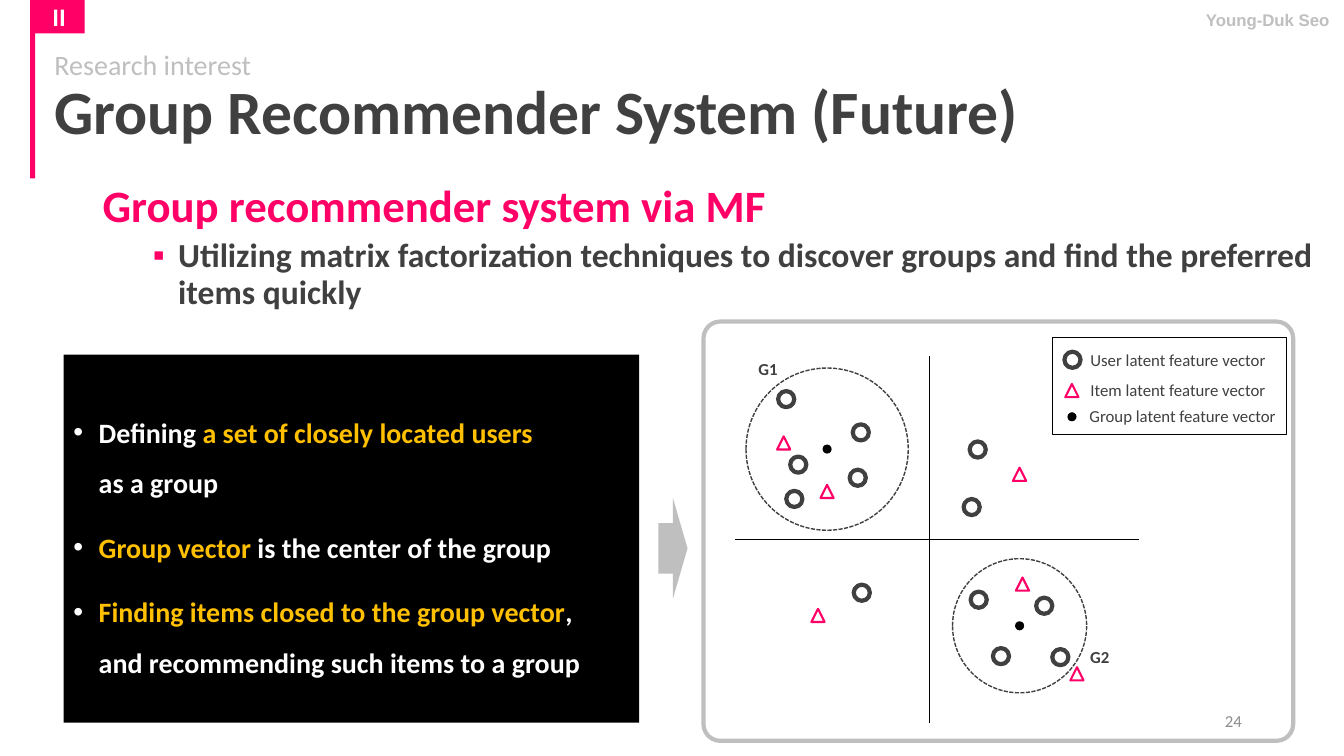
from lxml import etree
from pptx import Presentation
from pptx.dml.color import RGBColor
from pptx.enum.dml import MSO_LINE
from pptx.enum.shapes import MSO_CONNECTOR, MSO_SHAPE
from pptx.enum.text import MSO_ANCHOR, MSO_AUTO_SIZE, PP_ALIGN
from pptx.oxml.ns import qn
from pptx.util import Pt

RECTANGLE = MSO_SHAPE.RECTANGLE
ROUNDED = MSO_SHAPE.ROUNDED_RECTANGLE
OVAL = MSO_SHAPE.OVAL
TRIANGLE = MSO_SHAPE.ISOSCELES_TRIANGLE
ARROW = MSO_SHAPE.RIGHT_ARROW
STRAIGHT = MSO_CONNECTOR.STRAIGHT
DASH = MSO_LINE.SQUARE_DOT
TOP, MIDDLE = MSO_ANCHOR.TOP, MSO_ANCHOR.MIDDLE
LEFT, CENTER, RIGHT = PP_ALIGN.LEFT, PP_ALIGN.CENTER, PP_ALIGN.RIGHT
NO_FIT = MSO_AUTO_SIZE.NONE

PINK = RGBColor(0xFF, 0x00, 0x66)
AMBER = RGBColor(0xFF, 0xC0, 0x00)
DARK = RGBColor(0x40, 0x40, 0x40)
GRAY = RGBColor(0x8C, 0x8C, 0x8C)
SILVER = RGBColor(0xBF, 0xBF, 0xBF)
BLACK = RGBColor(0x00, 0x00, 0x00)
WHITE = RGBColor(0xFF, 0xFF, 0xFF)

USERS = [(570.2, 331.9), (567.4, 356.4), (612.7, 341.3), (614.9, 308.9),
         (561.6, 285.1), (715, 468.7), (699.1, 428.4), (745.9, 432.7),
         (615.6, 423.4), (694.1, 362.2), (698.4, 321.1), (757.4, 469.4)]
ITEMS = [(769.3, 481.3), (730.4, 417.2), (728.3, 338.8),
         (584.3, 439.6), (590.8, 351), (559.8, 316.4)]
GROUPS = [("G1", 590.8, 320.8, 115.9, 533.5, 252.7),
          ("G2", 728.3, 447, 95.8, 770.4, 458.6)]
POINTS = [
    [("Defining ", WHITE), ("a set of closely located users\n", AMBER),
     ("as a group", WHITE)],
    [("Group vector", AMBER), (" is the center of the group", WHITE)],
    [("Finding items closed to the group vector", AMBER),
     (",\nand recommending such items to a group", WHITE)],
]


def write(paragraph, text, size=12, color=DARK, bold=False, font="Calibri"):
    for index, part in enumerate(text.split("\n")):
        if index:
            paragraph.add_line_break()
        if part:
            run = paragraph.add_run()
            run.text = part
            run.font.name = font
            run.font.size = Pt(size)
            run.font.bold = bold
            run.font.color.rgb = color


class SlideBuilder:
    def __init__(self, slide):
        self.slide = slide

    def shape(self, kind, left, top, width, height, fill=None, line=None,
              weight=1, dash=None):
        shape = self.slide.shapes.add_shape(
            kind, Pt(left), Pt(top), Pt(width), Pt(height))
        shape.shadow.inherit = False
        if fill is None:
            shape.fill.background()
        else:
            shape.fill.solid()
            shape.fill.fore_color.rgb = fill
        if line is None:
            shape.line.fill.background()
        else:
            shape.line.color.rgb = line
            shape.line.width = Pt(weight)
            if dash is not None:
                shape.line.dash_style = dash
        return shape

    def centered(self, kind, x, y, size, **style):
        return self.shape(kind, x - size / 2, y - size / 2, size, size, **style)

    def user(self, x, y):
        self.centered(OVAL, x, y, 11.5, fill=WHITE, line=DARK, weight=3)

    def item(self, x, y):
        self.centered(TRIANGLE, x, y, 9.4, fill=WHITE, line=PINK, weight=1.5)

    def center_dot(self, x, y):
        self.centered(OVAL, x, y, 6.5, fill=BLACK)

    def axis(self, x1, y1, x2, y2):
        line = self.slide.shapes.add_connector(
            STRAIGHT, Pt(x1), Pt(y1), Pt(x2), Pt(y2))
        line.line.color.rgb = BLACK
        line.line.width = Pt(1)
        properties = line._element.find(qn("p:spPr"))
        etree.SubElement(properties, qn("a:effectLst"))

    def frame(self, shape, anchor=TOP):
        frame = shape.text_frame
        frame.word_wrap = True
        frame.auto_size = NO_FIT
        frame.vertical_anchor = anchor
        return frame

    def textbox(self, left, top, width, height, anchor=TOP):
        return self.frame(self.slide.shapes.add_textbox(
            Pt(left), Pt(top), Pt(width), Pt(height)), anchor)

    def label(self, text, left, top, width, height=21.6, align=LEFT,
              anchor=TOP, **style):
        paragraph = self.textbox(left, top, width, height, anchor).paragraphs[0]
        paragraph.alignment = align
        write(paragraph, text, **style)

    def title(self, kicker, heading):
        title = self.slide.shapes.title
        title.left, title.top = Pt(31.7), Pt(23.8)
        title.width, title.height = Pt(828), Pt(95)
        paragraph = self.frame(title, MIDDLE).paragraphs[0]
        paragraph.alignment = LEFT
        paragraph.line_spacing = 0.9
        write(paragraph, kicker + "\n", size=20, color=SILVER)
        write(paragraph, heading, size=44, bold=True)

    def bullet(self, paragraph, character, color, margin):
        paragraph.alignment = LEFT
        properties = paragraph._p.get_or_add_pPr()
        properties.set("marL", str(Pt(margin)))
        properties.set("indent", str(Pt(-18)))
        bullet_color = etree.SubElement(properties, qn("a:buClr"))
        etree.SubElement(bullet_color, qn("a:srgbClr"), val=str(color))
        etree.SubElement(properties, qn("a:buFont"), typeface="Arial")
        etree.SubElement(properties, qn("a:buChar"), char=character)


def main():
    presentation = Presentation()
    presentation.slide_width, presentation.slide_height = Pt(960), Pt(540)
    slide = presentation.slides.add_slide(presentation.slide_layouts[5])
    builder = SlideBuilder(slide)

    panel = builder.shape(ROUNDED, 502.5, 229.7, 421.2, 299.5,
                          fill=WHITE, line=SILVER, weight=3)
    panel.adjustments[0] = 0.04
    builder.shape(RECTANGLE, 751.7, 241.2, 167, 69.1,
                  fill=WHITE, line=BLACK, weight=0.75)
    builder.label("24", 678.2, 500.4, 216, 28.8, align=RIGHT, anchor=MIDDLE,
                  color=GRAY)

    builder.title("Research interest", "Group Recommender System (Future)")
    badge = builder.shape(RECTANGLE, 23.8, 0, 36.7, 23.8, fill=PINK)
    number = builder.frame(badge, MIDDLE).paragraphs[0]
    number.alignment = CENTER
    write(number, "II", size=18, color=WHITE, bold=True)
    builder.shape(RECTANGLE, 21.6, 0, 3.6, 127.4, fill=PINK)

    body = builder.textbox(66.2, 127.4, 891.4, 104.4)
    topic = body.paragraphs[0]
    topic.line_spacing = 0.9
    write(topic, "Group recommender system via MF", size=32, color=PINK,
          bold=True)
    detail = body.add_paragraph()
    detail.level = 1
    detail.line_spacing = 0.9
    detail.space_before = Pt(5)
    builder.bullet(detail, "▪", PINK, 54)
    write(detail, "Utilizing matrix factorization techniques to discover groups "
          "and find the preferred items quickly", size=24, bold=True)

    builder.axis(524.9, 385.2, 813.6, 385.2)
    builder.axis(663.8, 516.2, 663.8, 254.2)
    for x, y in USERS:
        builder.user(x, y)
    for x, y in ITEMS:
        builder.item(x, y)
    for name, x, y, size, left, top in GROUPS:
        builder.centered(OVAL, x, y, size, line=DARK, dash=DASH)
        builder.center_dot(x, y)
        builder.label(name, left, top, 30.2, align=CENTER, bold=True)

    builder.user(766.1, 257)
    builder.item(765.7, 279)
    builder.center_dot(765.7, 297.7)
    for kind, left, top in (("User", 771.8, 246.2), ("Item", 771.8, 267.8),
                            ("Group", 771.1, 286.6)):
        builder.label(f"{kind} latent feature vector", left, top, 147.6)

    box = builder.shape(RECTANGLE, 45.4, 253.4, 411.1, 262.8, fill=BLACK)
    frame = builder.frame(box, MIDDLE)
    for index, runs in enumerate(POINTS):
        paragraph = frame.add_paragraph() if index else frame.paragraphs[0]
        paragraph.line_spacing = 1.5
        if index:
            paragraph.space_before = Pt(10)
        builder.bullet(paragraph, "•", WHITE, 18)
        for text, color in runs:
            write(paragraph, text, size=20, color=color, bold=True)

    builder.shape(ARROW, 470.2, 355.7, 20.9, 72, fill=SILVER)
    builder.label("Young-Duk Seo", 831.6, 3.6, 125.3, align=RIGHT,
                  color=SILVER, bold=True, font="Arial")
    presentation.save("out.pptx")


if __name__ == "__main__":
    main()
